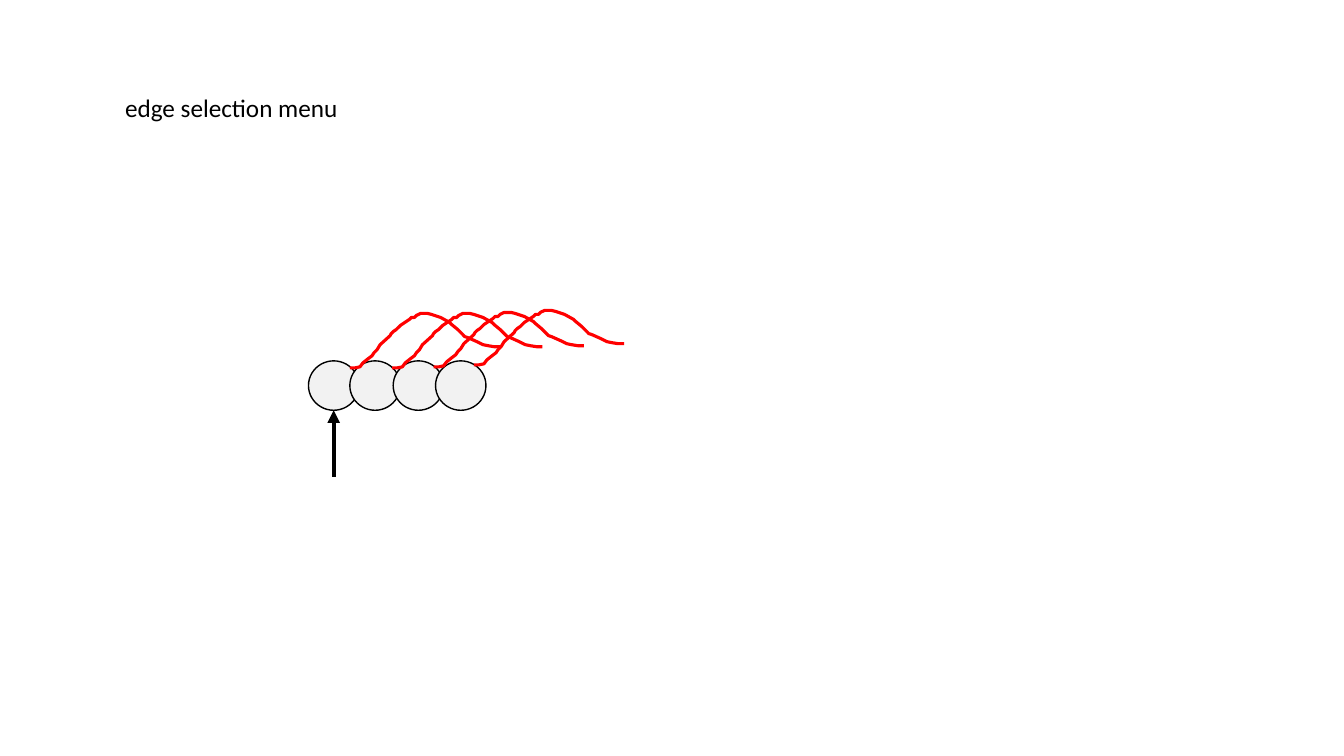
import dataclasses

import lxml.etree
import pptx
import pptx.dml.color
import pptx.enum.dml
import pptx.enum.shapes
import pptx.enum.text
import pptx.oxml.ns
import pptx.util

Inches = pptx.util.Inches

COLORS = {"ink": "000000", "node": "F2F2F2", "edge": "FF0000"}
FONT = "Calibri"
NODE_TOP, NODE_WIDTH, NODE_HEIGHT = 3.58, 0.5, 0.49
ARROW_X, ARROW_FOOT = 3.31, 4.73

# Course of one edge, in hundredths of an inch from its left and top
WAVE = [
    (0, 54), (5, 53.7), (10, 53), (13, 49), (18, 45), (22, 42), (24, 39),
    (27, 36), (30, 31), (40, 22), (41, 20), (43, 18), (46, 16), (50, 12),
    (59, 6), (61, 4), (64, 3.5), (66, 2), (70, 0.3), (73, 0), (77, 0.2),
    (81, 1), (87, 3), (90, 4), (99, 9), (101, 11), (107, 16), (110, 19),
    (112, 21), (114, 23), (117, 24), (126, 28), (130, 30), (132, 31),
    (137, 32.5), (143, 33), (149, 33),
]


@dataclasses.dataclass
class Node:
    left: float


@dataclasses.dataclass
class Edge:
    left: float
    top: float


NODES = [Node(3.06), Node(3.47), Node(3.9), Node(4.32)]
EDGES = [Edge(3.47, 3.11), Edge(3.89, 3.11), Edge(4.3, 3.1), Edge(4.7, 3.08)]


def tint(name: str) -> pptx.dml.color.RGBColor:
    return pptx.dml.color.RGBColor.from_string(COLORS[name])


def set_line(shape, color: str, width: float) -> None:
    shape.line.color.rgb = tint(color)
    shape.line.width = pptx.util.Pt(width)


def write_text(shape, text: str, *, size: float, color: str,
               align=pptx.enum.text.PP_ALIGN.LEFT) -> None:
    frame = shape.text_frame
    frame.text = text
    frame.word_wrap = False
    frame.auto_size = pptx.enum.text.MSO_AUTO_SIZE.SHAPE_TO_FIT_TEXT
    frame.vertical_anchor = pptx.enum.text.MSO_ANCHOR.TOP
    line = frame.paragraphs[0]
    line.alignment = align
    font = line.runs[0].font
    font.name = FONT
    font.size = pptx.util.Pt(size)
    font.color.rgb = tint(color)


def draw_node(slide, node: Node) -> None:
    shape = slide.shapes.add_shape(
        pptx.enum.shapes.MSO_SHAPE.OVAL, Inches(node.left), Inches(NODE_TOP),
        Inches(NODE_WIDTH), Inches(NODE_HEIGHT))
    shape.shadow.inherit = False
    shape.fill.solid()
    shape.fill.fore_color.rgb = tint("node")
    set_line(shape, "ink", 1)


def draw_edge(slide, edge: Edge) -> None:
    pen = slide.shapes.build_freeform(*WAVE[0], scale=Inches(0.01))
    pen.add_line_segments(WAVE[1:], close=False)
    shape = pen.convert_to_shape(Inches(edge.left), Inches(edge.top))
    shape.shadow.inherit = False
    shape.fill.background()
    set_line(shape, "edge", 2.25)


def draw_arrow(slide) -> None:
    arrow = slide.shapes.add_connector(
        pptx.enum.shapes.MSO_CONNECTOR.STRAIGHT,
        Inches(ARROW_X), Inches(ARROW_FOOT),
        Inches(ARROW_X), Inches(NODE_TOP + NODE_HEIGHT))
    set_line(arrow, "ink", 3)
    qn = pptx.oxml.ns.qn
    lxml.etree.SubElement(arrow.line._get_or_add_ln(), qn("a:tailEnd"),
                          type="triangle")
    lxml.etree.SubElement(arrow._element.spPr, qn("a:effectLst"))


def main() -> None:
    deck = pptx.Presentation()
    deck.slide_width, deck.slide_height = Inches(13.33), Inches(7.5)
    slide = deck.slides.add_slide(deck.slide_layouts[5])

    # Title
    title = slide.shapes.title
    title.left, title.top = Inches(1.14), Inches(0.87)
    title.width, title.height = Inches(2.34), Inches(0.4)
    write_text(title, "edge selection menu", size=18, color="ink")

    # Row of nodes with the arrow below the first
    for node in NODES:
        draw_node(slide, node)
    draw_arrow(slide)

    # Edges that leave the nodes
    for edge in EDGES:
        draw_edge(slide, edge)

    deck.save("out.pptx")


if __name__ == "__main__":
    main()
